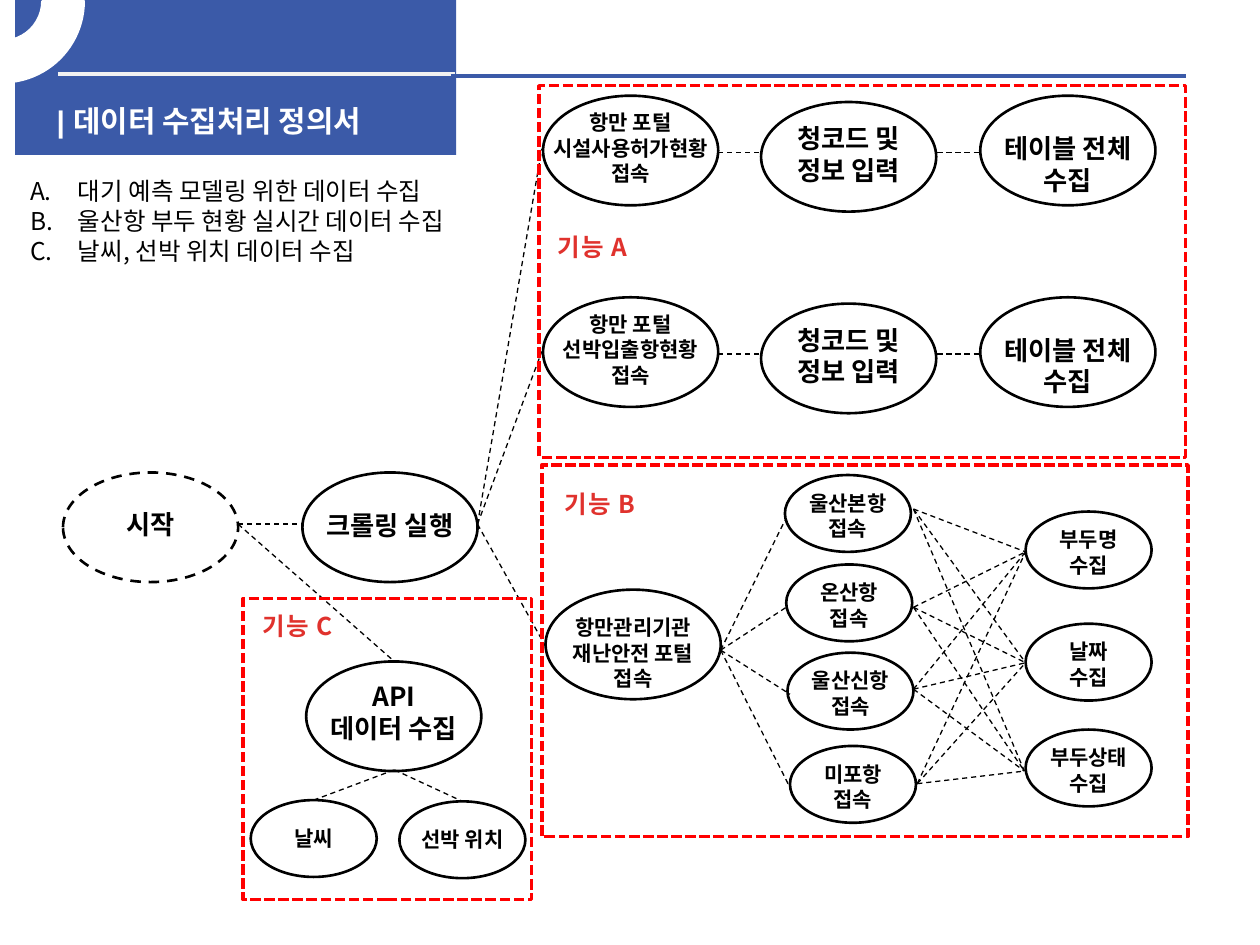
import itertools

import pptx
import pptx.dml.color
import pptx.enum.dml
import pptx.enum.shapes
import pptx.enum.text
import pptx.oxml.ns
import pptx.oxml.xmlchemy
import pptx.util
from lxml import etree

Inches = pptx.util.Inches
Pt = pptx.util.Pt
RGBColor = pptx.dml.color.RGBColor
Shape = pptx.enum.shapes.MSO_SHAPE
Dash = pptx.enum.dml.MSO_LINE
Align = pptx.enum.text.PP_ALIGN
qn = pptx.oxml.ns.qn

BLUE = RGBColor(0x3B, 0x5A, 0xA8)
PALE = RGBColor(0xF2, 0xF2, 0xF2)
WHITE = RGBColor(0xFF, 0xFF, 0xFF)
BLACK = RGBColor(0, 0, 0)
RED = RGBColor(0xFF, 0, 0)
LABEL_RED = RGBColor(0xE0, 0x32, 0x2D)

KOREAN_FONT = "Noto Sans CJK KR"
LINE_FACTOR = 1.21
LARGE = (1.39, 0.87)
SMALL = (1, 0.61)


def place(shape, left, top, width, height):
    shape.left, shape.top = Inches(left), Inches(top)
    shape.width, shape.height = Inches(width), Inches(height)


def add_shape(page, kind, box, fill=None, line=None, weight=1.5, dash=None):
    shape = page.shapes.add_shape(kind, *map(Inches, box))
    shape.shadow.inherit = False
    if fill is None:
        shape.fill.background()
    else:
        shape.fill.solid()
        shape.fill.fore_color.rgb = fill
    if line is None:
        shape.line.fill.background()
    else:
        shape.line.color.rgb = line
        shape.line.width = Pt(weight)
    if dash is not None:
        shape.line.dash_style = dash
    return shape


def add_line(page, start, end, color=BLACK, weight=0.75, dash=Dash.DASH):
    line = page.shapes.add_connector(
        pptx.enum.shapes.MSO_CONNECTOR.STRAIGHT, *map(Inches, start + end))
    line.line.color.rgb = color
    line.line.width = Pt(weight)
    if dash is not None:
        line.line.dash_style = dash
    etree.SubElement(line.element.spPr, qn("a:effectLst"))
    return line


def style(para, size, color, bold=True, font=KOREAN_FONT, align=Align.CENTER, spacing=0):
    para.alignment = align
    para.line_spacing = Pt(round(size * LINE_FACTOR, 1))
    para.font.size = Pt(size)
    para.font.bold = bold
    para.font.color.rgb = color
    para.font.name = font
    defaults = para._p.pPr.find(qn("a:defRPr"))
    etree.SubElement(defaults, qn("a:ea")).set("typeface", KOREAN_FONT)
    if spacing:
        defaults.set("spc", str(spacing))


def add_text(page, box, lines, wrap=True):
    text_box = page.shapes.add_textbox(*map(Inches, box))
    frame = text_box.text_frame
    frame.word_wrap = wrap
    frame.auto_size = pptx.enum.text.MSO_AUTO_SIZE.SHAPE_TO_FIT_TEXT
    frame.text = "\n".join(lines)
    return frame.paragraphs


def add_node(page, left, top, lines, drop, extent=LARGE, size=15,
             label_width=1.39, rows=None, dash=None):
    add_shape(page, Shape.OVAL, (left, top) + extent, line=BLACK, dash=dash)
    label_height = round((rows or len(lines)) * size * LINE_FACTOR / 72 + 0.1, 2)
    label_left = left + (extent[0] - label_width) / 2
    for para in add_text(page, (label_left, top + drop, label_width, label_height), lines):
        style(para, size, BLACK)


def add_small_node(page, left, top, lines):
    drop = 0.07 if len(lines) == 2 else 0.15
    add_node(page, left, top, lines, drop, SMALL, 12)


def add_header(page):
    add_shape(page, Shape.RECTANGLE, (0.12, 0, 3.5, 1.23), BLUE)
    add_line(page, (0.46, 0.59), (3.61, 0.59), PALE, 2.25, None)
    rule = add_line(page, (3.58, 0.6), (9.41, 0.6), BLUE, 2.25, None)

    title = page.shapes.title
    place(title, 0.35, 0.76, 3.07, 0.32)
    rule.element.addnext(title.element)
    frame = title.text_frame
    frame.text = "| 데이터 수집처리 정의서"
    frame.word_wrap = False
    frame.auto_size = pptx.enum.text.MSO_AUTO_SIZE.NONE
    frame.vertical_anchor = pptx.enum.text.MSO_ANCHOR.TOP
    style(frame.paragraphs[0], 17, WHITE, font="Arial", align=Align.LEFT)

    arc = add_shape(page, Shape.BLOCK_ARC, (-0.63, -0.63, 1.29, 1.28), WHITE, WHITE, 2)
    for index, value in enumerate((161.59, 0, 0.25)):
        arc.adjustments[index] = value
    arc.element.spPr.find(qn("a:xfrm")).set("flipV", "1")


def add_summary(page):
    lines = ("대기 예측 모델링 위한 데이터 수집",
             "울산항 부두 현황 실시간 데이터 수집",
             "날씨, 선박 위치 데이터 수집")
    for para in add_text(page, (0.14, 1.35, 5.01, 0.81), lines):
        properties = para._p.get_or_add_pPr()
        properties.set("marL", str(Inches(0.38)))
        properties.set("indent", str(Inches(-0.38)))
        etree.SubElement(properties, qn("a:buAutoNum")).set("type", "alphaUcPeriod")
        style(para, 14, BLACK, bold=False, align=Align.LEFT)


def add_nodes(page):
    add_node(page, 2.4, 3.75, ["크롤링 실행"], 0.24)
    add_node(page, 0.5, 3.75, ["시작"], 0.23, dash=Dash.DASH)

    port_rows = ((0, ["항만 포털", "시설사용허가현황 접속"]),
                 (1.6, ["항만 포털", "선박입출항현황", "접속"]))
    for shift, access in port_rows:
        add_node(page, 4.31, 0.76 + shift, access, 0.06, size=12, label_width=1.73, rows=3)
        add_node(page, 6.04, 0.81 + shift, ["청코드 및", "정보 입력"], 0.11)
        add_node(page, 7.78, 0.76 + shift, ["테이블 전체", "수집"], 0.24)

    add_node(page, 4.33, 4.68, ["항만관리기관", "재난안전 포털", "접속"], 0.15,
             size=12, label_width=1.73)
    for left, top, name in ((6.23, 3.77, "울산본항"), (6.24, 4.48, "온산항"),
                            (6.25, 5.18, "울산신항"), (6.27, 5.92, "미포항")):
        add_small_node(page, left, top, [name, "접속"])
    for top, name in ((4.06, "부두명"), (4.95, "날짜"), (5.79, "부두상태")):
        add_small_node(page, 8.14, top, [name, "수집"])

    add_node(page, 2.43, 5.25, ["API", "데이터 수집"], 0.1)
    add_small_node(page, 1.99, 6.35, ["날씨"])
    add_small_node(page, 3.17, 6.36, ["선박 위치"])


def add_links(page):
    fans = (
        ((1.89, 4.16), ((2.4, 4.16), (3.13, 5.25))),
        ((3.79, 4.16), ((4.3, 2.79), (4.3, 1.18), (4.33, 5.13))),
        ((5.72, 5.16), ((6.23, 4.13), (6.24, 4.82), (6.27, 5.51), (6.27, 6.25))),
        ((3.13, 6.11), ((2.49, 6.35), (3.67, 6.36))),
    )
    for start, ends in fans:
        for end in ends:
            add_line(page, start, end)
    for y, left in itertools.product((1.21, 2.81), (5.7, 7.44)):
        add_line(page, (left, y), (left + 0.34, y))
    ports = ((7.25, 4.04), (7.25, 4.82), (7.25, 5.47), (7.28, 6.22))
    results = ((8.14, 4.38), (8.14, 5.26), (8.13, 6.12))
    for start, end in itertools.product(ports, results):
        add_line(page, start, end)


def add_groups(page):
    groups = (("기능 A", (4.28, 0.68, 5.13, 2.95), (4.29, 1.79)),
              ("기능 B", (4.3, 3.69, 5.13, 2.95), (4.35, 3.83)),
              ("기능 C", (1.93, 4.75, 2.29, 2.39), (1.95, 4.8)))
    for name, frame, corner in groups:
        add_shape(page, Shape.RECTANGLE, frame, line=RED, weight=2, dash=Dash.SQUARE_DOT)
        label = add_text(page, corner + (0.82, 0.34), [name], wrap=False)
        style(label[0], 14, LABEL_RED, spacing=50)


def main():
    deck = pptx.Presentation()
    deck.slide_width, deck.slide_height = Inches(10), Inches(7.5)
    page = deck.slides.add_slide(deck.slide_layouts[5])
    add_header(page)
    add_nodes(page)
    add_links(page)
    add_groups(page)
    add_summary(page)
    deck.save("out.pptx")


if __name__ == "__main__":
    main()
